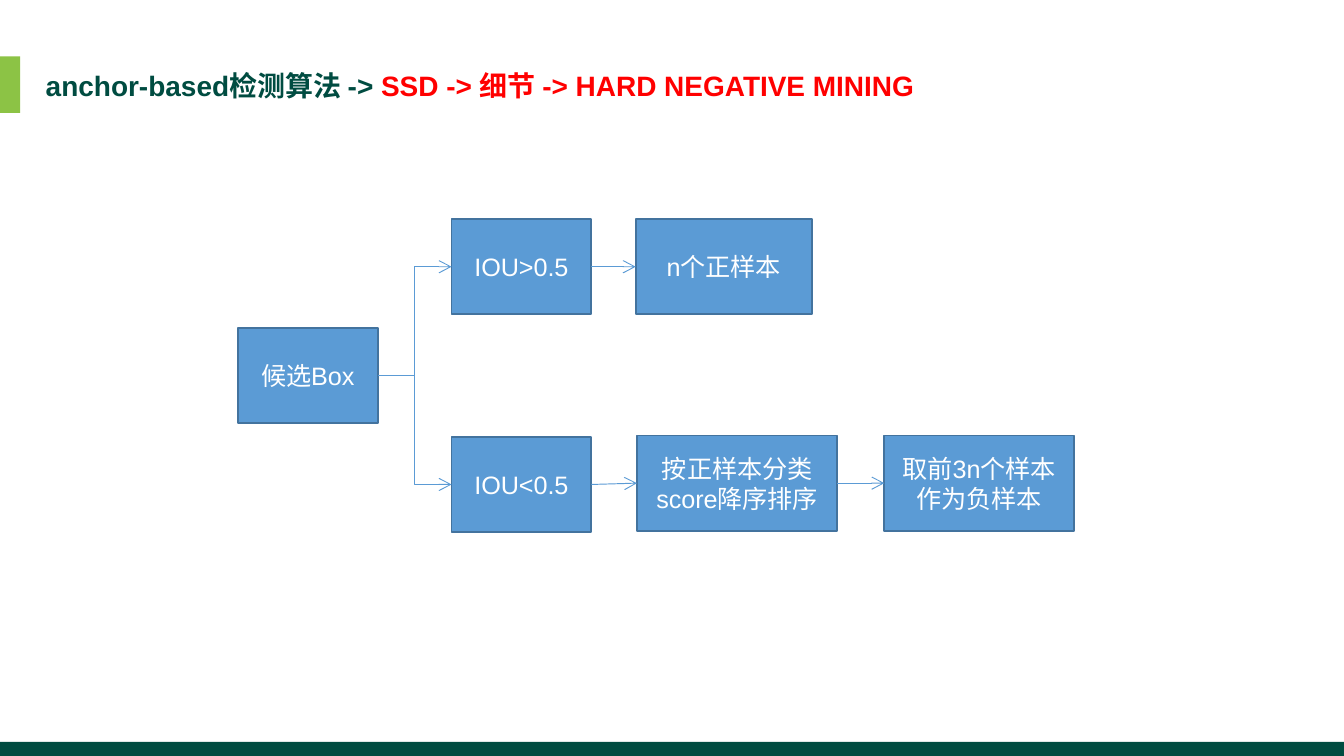
from lxml import etree
from pptx import Presentation
from pptx.dml.color import RGBColor
from pptx.enum.shapes import MSO_CONNECTOR, MSO_SHAPE
from pptx.enum.text import MSO_ANCHOR, PP_ALIGN
from pptx.oxml.ns import qn
from pptx.util import Inches, Pt

RECTANGLE = MSO_SHAPE.RECTANGLE
STRAIGHT, ELBOW = MSO_CONNECTOR.STRAIGHT, MSO_CONNECTOR.ELBOW
MIDDLE, CENTER, LEFT = MSO_ANCHOR.MIDDLE, PP_ALIGN.CENTER, PP_ALIGN.LEFT
RIGHT_SITE, LEFT_SITE = 3, 1

GREEN = RGBColor(0x8C, 0xC3, 0x45)
DARK_GREEN = RGBColor(0x00, 0x4C, 0x41)
RED = RGBColor(0xFF, 0x00, 0x00)
BLUE = RGBColor(0x5B, 0x9B, 0xD5)
DARK_BLUE = RGBColor(0x43, 0x73, 0x9E)
WHITE = RGBColor(0xFF, 0xFF, 0xFF)

# Content
TITLE = [
    ("anchor-based检测算法 -> ", DARK_GREEN),
    ("SSD -> 细节 -> HARD NEGATIVE MINING", RED),
]
BARS = [((0, 0.42, 0.15, 0.42), GREEN), ((0, 5.52, 10, 0.11), DARK_GREEN)]
BOX_HEIGHT = 0.71
# Step: text, left, top, width
STEPS = {
    "candidates": ("候选Box", 1.77, 2.44, 1.04),
    "high_iou": ("IOU>0.5", 3.36, 1.63, 1.04),
    "low_iou": ("IOU<0.5", 3.36, 3.25, 1.04),
    "positives": ("n个正样本", 4.73, 1.63, 1.31),
    "sorting": ("按正样本分类score降序排序", 4.74, 3.24, 1.49),
    "negatives": ("取前3n个样本作为负样本", 6.58, 3.24, 1.41),
}
FLOWS = [
    ("candidates", "high_iou", ELBOW),
    ("candidates", "low_iou", ELBOW),
    ("high_iou", "positives", STRAIGHT),
    ("low_iou", "sorting", STRAIGHT),
    ("sorting", "negatives", STRAIGHT),
]
TITLE_FONT = {"name": "Arial", "size": Pt(15), "bold": True}
STEP_FONT = {"name": "Arial", "size": Pt(13.5)}


def add_run(paragraph, text, color, font_format):
    run = paragraph.add_run()
    run.text = text
    for attribute, value in font_format.items():
        setattr(run.font, attribute, value)
    run.font.color.rgb = color


def add_rectangle(slide, place, fill, outline=None):
    rectangle = slide.shapes.add_shape(RECTANGLE, *map(Inches, place))
    rectangle.shadow.inherit = False
    rectangle.fill.solid()
    rectangle.fill.fore_color.rgb = fill
    if outline is None:
        rectangle.line.fill.background()
    else:
        rectangle.line.color.rgb = outline
        rectangle.line.width = Pt(1)
    return rectangle


def add_step(slide, text, left, top, width):
    step = add_rectangle(slide, (left, top, width, BOX_HEIGHT), BLUE, DARK_BLUE)
    frame = step.text_frame
    frame.word_wrap = True
    frame.vertical_anchor = MIDDLE
    frame.paragraphs[0].alignment = CENTER
    add_run(frame.paragraphs[0], text, WHITE, STEP_FONT)
    return step


def add_flow(slide, source, target, kind):
    flow = slide.shapes.add_connector(kind, 0, 0, 0, 0)
    flow.begin_connect(source, RIGHT_SITE)
    flow.end_connect(target, LEFT_SITE)
    flow.line.color.rgb = BLUE
    flow.line.width = Pt(0.5)
    properties = flow._element.spPr
    etree.SubElement(properties.find(qn("a:ln")), qn("a:tailEnd"), type="arrow")
    etree.SubElement(properties, qn("a:effectLst"))


def main():
    deck = Presentation()
    # Widescreen, 16:9
    deck.slide_width = Inches(10)
    deck.slide_height = deck.slide_width * 9 // 16
    slide = deck.slides.add_slide(deck.slide_layouts[5])

    # Title
    title = slide.shapes.title
    title.left, title.top, title.width, title.height = map(
        Inches, (0.24, 0.46, 7.52, 0.35))
    title.text_frame.word_wrap = True
    title.text_frame.vertical_anchor = MIDDLE
    heading = title.text_frame.paragraphs[0]
    heading.alignment = LEFT
    for text, color in TITLE:
        add_run(heading, text, color, TITLE_FONT)

    # Accent bars
    for place, color in BARS:
        add_rectangle(slide, place, color)

    # Sample selection flow
    steps = {key: add_step(slide, *step) for key, step in STEPS.items()}
    for source, target, kind in FLOWS:
        add_flow(slide, steps[source], steps[target], kind)

    deck.save("out.pptx")


if __name__ == "__main__":
    main()
